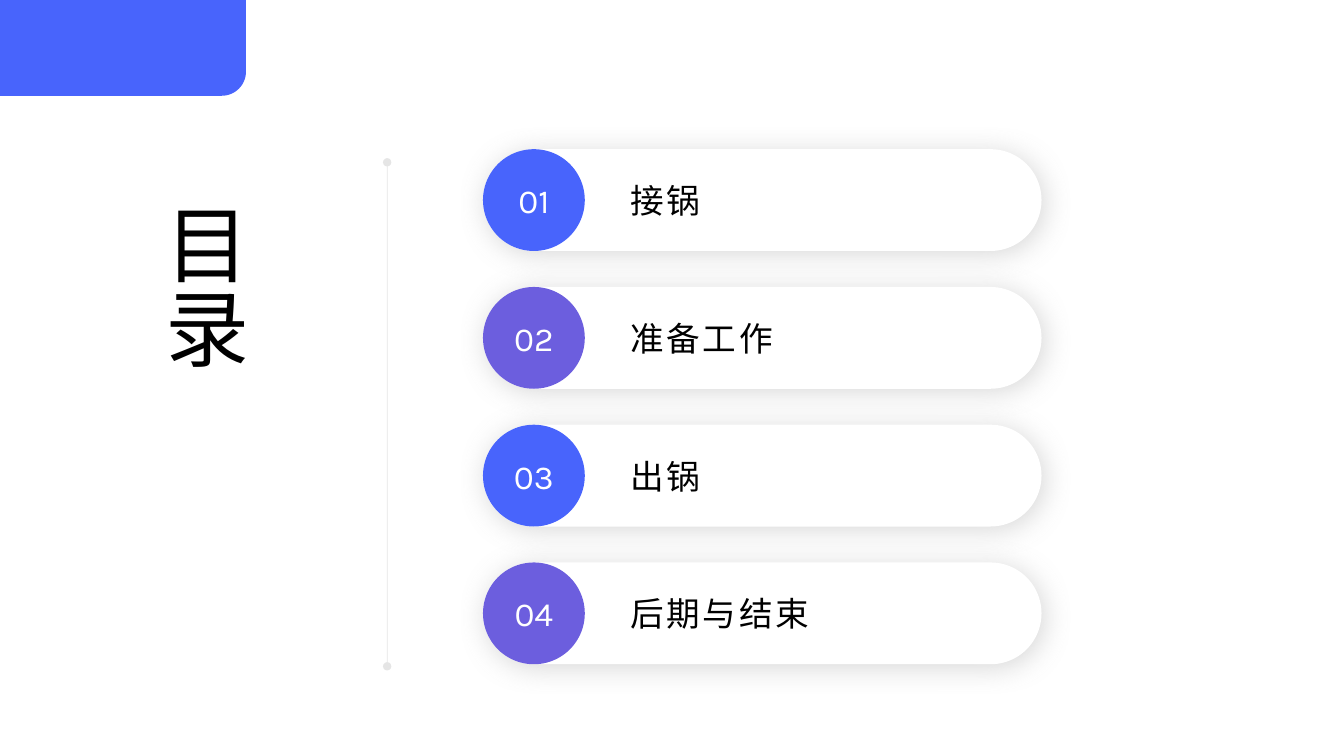
from math import cos, pi, sin

from lxml import etree
from pptx import Presentation
from pptx.dml.color import RGBColor
from pptx.enum.shapes import MSO_CONNECTOR, MSO_SHAPE
from pptx.enum.text import MSO_ANCHOR, MSO_AUTO_SIZE, PP_ALIGN
from pptx.oxml.ns import qn
from pptx.util import Inches, Pt

ROUND, OVAL = MSO_SHAPE.ROUNDED_RECTANGLE, MSO_SHAPE.OVAL
STRAIGHT = MSO_CONNECTOR.STRAIGHT
MIDDLE = MSO_ANCHOR.MIDDLE
NO_FIT = MSO_AUTO_SIZE.NONE
LEFT, CENTER = PP_ALIGN.LEFT, PP_ALIGN.CENTER

FONT = "Karla"
BLUE, PURPLE, GRAY = "4864FC", "6C5EDE", "808080"
WHITE, BLACK = "FFFFFF", "000000"

TOPICS = ["接锅", "准备工作", "出锅", "后期与结束"]
ROW_LEFT, ROW_TOP, ROW_STEP = 4.79, 1.48, 4.1 / 3
ROW_WIDTH, ROW_HEIGHT = 5.54, 1.01


def color(text):
    return RGBColor.from_string(text)


def add_xml(parent, tag, **attrs):
    return etree.SubElement(parent, qn(tag), attrs)


def paint(shape, fill):
    shape.shadow.inherit = False
    shape.fill.solid()
    shape.fill.fore_color.rgb = color(fill)
    shape.line.fill.background()


def write(shape, text, size=24, ink=BLACK, align=LEFT, side=0.1, edge=0,
          wrap=True, gap=0):
    """Fill a shape with one formatted run; gap is letter spacing in points."""
    frame = shape.text_frame
    frame.auto_size = NO_FIT
    frame.word_wrap = wrap
    frame.vertical_anchor = MIDDLE
    frame.margin_left = frame.margin_right = Inches(side)
    frame.margin_top = frame.margin_bottom = Inches(edge)
    line = frame.paragraphs[0]
    line.alignment = align
    run = line.add_run()
    run.text = text
    run.font.name = FONT
    run.font.size = Pt(size)
    run.font.color.rgb = color(ink)
    if gap:
        run.font._element.set("spc", str(gap * 100))


def add_shape(slide, kind, left, top, width, height, fill):
    shape = slide.shapes.add_shape(
        kind, Inches(left), Inches(top), Inches(width), Inches(height))
    paint(shape, fill)
    return shape


def cast_shadow(shape):
    effects = shape._element.spPr.find(qn("a:effectLst"))
    shadow = add_xml(effects, "a:outerShdw", blurRad=str(Pt(20)),
                     dist=str(Pt(3)), dir=str(45 * 60000),
                     algn="tl", rotWithShape="0")
    tint = add_xml(shadow, "a:srgbClr", val=GRAY)
    add_xml(tint, "a:alpha", val="30000")


def add_corner(slide, width=2.44, height=0.95, radius=0.24):
    """Block at the top left of the slide with one rounded corner."""
    angles = [i * pi / 32 for i in range(17)]
    arc = [(Inches(width - radius + radius * cos(a)),
            Inches(height - radius + radius * sin(a))) for a in angles]
    pen = slide.shapes.build_freeform(0, 0)
    pen.add_line_segments(
        [(Inches(width), 0), *arc, (0, Inches(height))], close=True)
    paint(pen.convert_to_shape(), BLUE)


def add_rule(slide, left, top, bottom):
    """Faint vertical line with a dot at each end."""
    rule = slide.shapes.add_connector(
        STRAIGHT, Inches(left), Inches(top), Inches(left), Inches(bottom))
    rule.line.width = Pt(0.5)
    rule.line.color.rgb = color(GRAY)
    stroke = rule.line._ln
    add_xml(stroke.find(".//" + qn("a:srgbClr")), "a:alpha", val="20000")
    add_xml(stroke, "a:headEnd", type="oval")
    add_xml(stroke, "a:tailEnd", type="oval")
    add_xml(rule._element.spPr, "a:effectLst")


def add_title(slide, text):
    title = slide.shapes.title
    title.left, title.top = Inches(1.28), Inches(1.96)
    title.width, title.height = Inches(1.5), Inches(3.94)
    write(title, text, size=60, edge=0.05)
    title.text_frame._txBody.bodyPr.set("vert", "eaVert")


def add_topic(slide, index, text):
    top = ROW_TOP + index * ROW_STEP
    pill = add_shape(slide, ROUND, ROW_LEFT, top, ROW_WIDTH, ROW_HEIGHT, WHITE)
    pill.adjustments[0] = 0.5
    cast_shadow(pill)
    disc = add_shape(slide, OVAL, ROW_LEFT, top, ROW_HEIGHT, ROW_HEIGHT,
                     (BLUE, PURPLE)[index % 2])
    write(disc, f"{index + 1:02}", ink=WHITE, align=CENTER, side=0, wrap=False)
    label = slide.shapes.add_textbox(
        Inches(6.15), Inches(top), Inches(4.19), Inches(ROW_HEIGHT))
    write(label, text, gap=2)


def main():
    deck = Presentation()
    deck.slide_width, deck.slide_height = Inches(13.33), Inches(7.5)
    slide = deck.slides.add_slide(deck.slide_layouts.get_by_name("Title Only"))
    add_rule(slide, 3.84, 1.61, 6.61)
    add_corner(slide)
    add_title(slide, "目录")
    for index, text in enumerate(TOPICS):
        add_topic(slide, index, text)
    deck.save("out.pptx")


if __name__ == "__main__":
    main()
